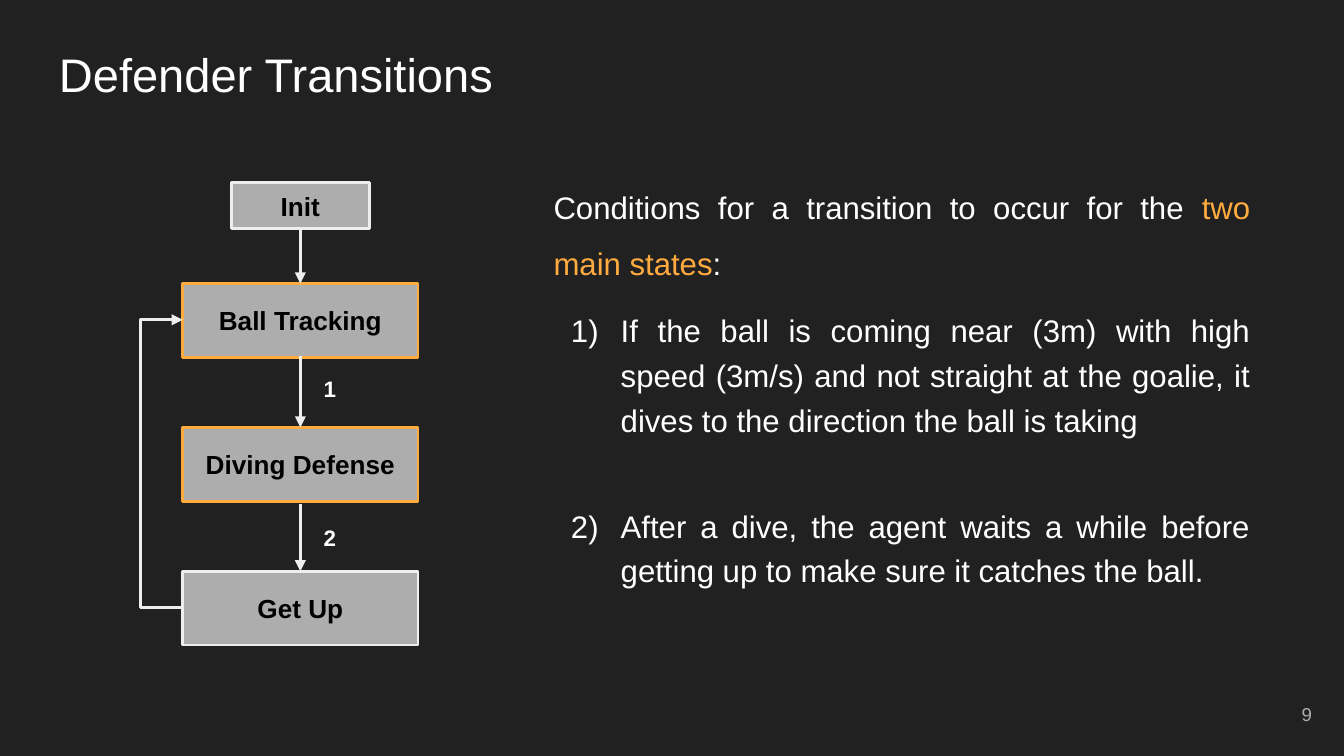
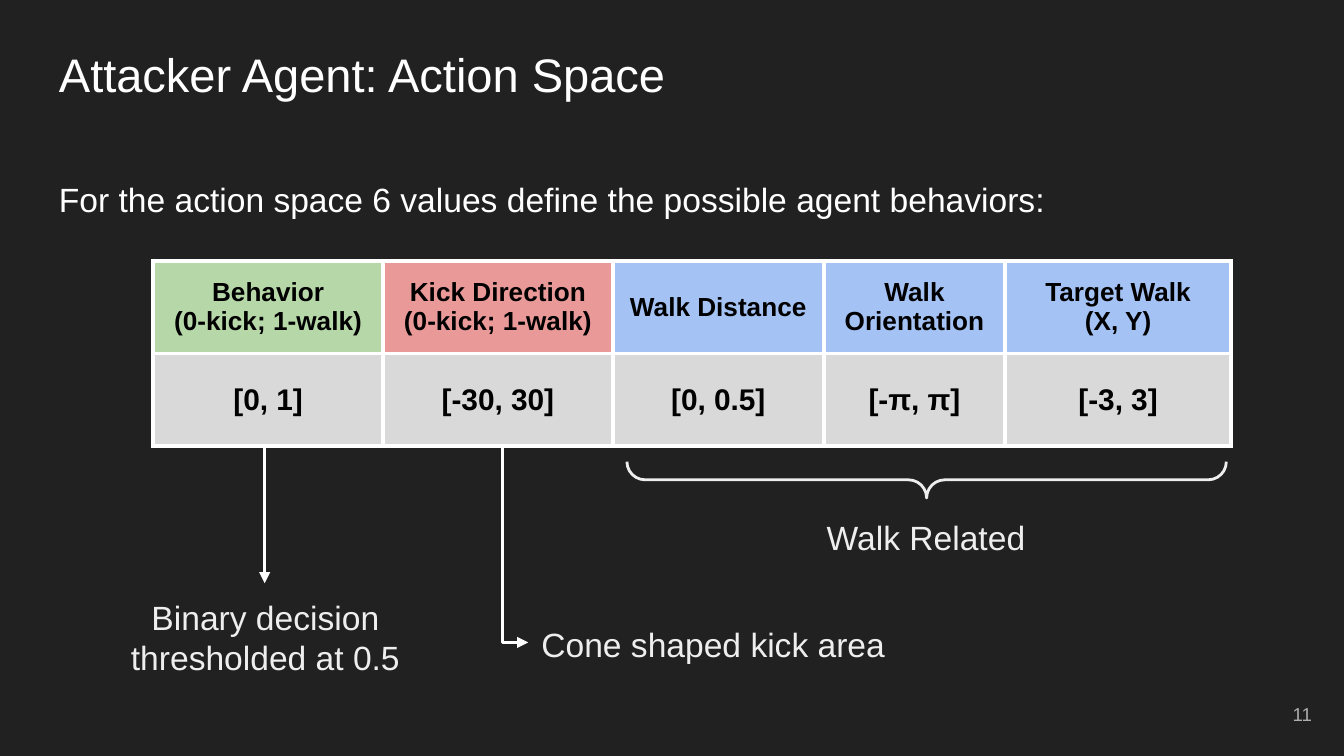
from lxml import etree
from pptx import Presentation
from pptx.dml.color import RGBColor
from pptx.enum.shapes import MSO_CONNECTOR, MSO_SHAPE
from pptx.enum.text import MSO_ANCHOR, PP_ALIGN
from pptx.oxml.ns import qn
from pptx.util import Pt

EMU_PER_PX = 9144
WIDTH, HEIGHT = 1000, 562.5
FONT = "Arial"
LEFT, CENTER, RIGHT, JUSTIFY = PP_ALIGN.LEFT, PP_ALIGN.CENTER, PP_ALIGN.RIGHT, PP_ALIGN.JUSTIFY
TOP, MIDDLE = MSO_ANCHOR.TOP, MSO_ANCHOR.MIDDLE
STRAIGHT, ELBOW = MSO_CONNECTOR.STRAIGHT, MSO_CONNECTOR.ELBOW
RECTANGLE, LEFT_BRACE = MSO_SHAPE.RECTANGLE, MSO_SHAPE.LEFT_BRACE

BACKGROUND, WHITE, BLACK = "212121", "FFFFFF", "000000"
GRAY, PALE, ORANGE = "ADADAD", "EEEEEE", "FFAB40"
GREEN, RED, BLUE, SILVER = "B6D7A8", "EA9999", "A4C2F4", "D9D9D9"

TITLE_BOX = (34, 24, 932, 63)
NUMBER_BOX = (926, 510, 60, 43)

STATE_LEFT, STATE_WIDTH = 136, 175
STATE_CENTER = STATE_LEFT + STATE_WIDTH / 2
STATES = [
    ("Init", 136, 103, 34, PALE),
    ("Ball Tracking", 211, STATE_WIDTH, 55, ORANGE),
    ("Diving Defense", 318, STATE_WIDTH, 55, ORANGE),
    ("Get Up", 425, STATE_WIDTH, 55, PALE),
]
STATE_ARROWS = [(170, 211), (265, 318), (375, 425)]
TRANSITION_LABELS = [("1", 269), ("2", 380)]
CONDITIONS_BOX = (402, 116, 538, 367)
CONDITIONS_SIZE = 16.7
CONDITIONS_INTRO = [
    ("Conditions for a transition to occur for the ", WHITE),
    ("two main states", ORANGE),
    (":", WHITE),
]
CONDITIONS = [
    ("If the ball is coming near (3m) with high speed (3m/s) and not straight "
     "at the goalie, it dives to the direction the ball is taking", 12),
    ("After a dive, the agent waits a while before getting up to make sure "
     "it catches the ball.", 32.7),
]

ACTION_INTRO = "For the action space 6 values define the possible agent behaviors:"
ACTIONS = [
    ("Behavior\n(0-kick; 1-walk)", "[0, 1]", 171, GREEN),
    ("Kick Direction\n(0-kick; 1-walk)", "[-30, 30]", 171, RED),
    ("Walk Distance", "[0, 0.5]", 157, BLUE),
    ("Walk Orientation", "[-π, π]", 135, BLUE),
    ("Target Walk\n(X, Y)", "[-3, 3]", 168, BLUE),
]
TABLE_LEFT, TABLE_TOP, ROW_HEIGHT = 114, 194, 69
ACTION_NOTES = [
    ("Walk Related", (590, 375, 198, 50), CENTER),
    ("Binary decision thresholded at 0.5", (84, 434, 227, 81), CENTER),
    ("Cone shaped kick area", (393, 454, 309, 50), LEFT),
]


def px(*values):
    return [int(value * EMU_PER_PX) for value in values]


def rgb(color):
    return RGBColor.from_string(color)


def add_xml(parent, tag, **attributes):
    return etree.SubElement(parent, qn(tag), attributes)


def add_paragraph(frame, runs, size, align=LEFT, bold=False, line=None, before=None, numbered=False):
    first = frame.paragraphs[0]
    paragraph = frame.add_paragraph() if first.runs else first
    paragraph.alignment = align
    if line:
        paragraph.line_spacing = line
    if before:
        paragraph.space_before = Pt(before)
    if numbered:
        properties = paragraph._p.get_or_add_pPr()
        properties.set("marL", str(px(50)[0]))
        properties.set("indent", str(px(-37)[0]))
        bullet_color = add_xml(properties, "a:buClr")
        add_xml(bullet_color, "a:srgbClr", val=WHITE)
        add_xml(properties, "a:buFont", typeface=FONT)
        add_xml(properties, "a:buAutoNum", type="arabicParenR")
    for text, color in runs:
        run = paragraph.add_run()
        run.text = text
        run.font.name = FONT
        run.font.size = Pt(size)
        run.font.bold = bold
        run.font.color.rgb = rgb(color)


def write(frame, text, size, color=WHITE, anchor=TOP, **formats):
    frame.word_wrap = True
    frame.vertical_anchor = anchor
    for line in text.split("\n"):
        add_paragraph(frame, [(line, color)], size, **formats)


def set_margins(target):
    margin = px(10)[0]
    target.margin_left = target.margin_right = margin
    target.margin_top = target.margin_bottom = margin


def add_frame(slide, box):
    frame = slide.shapes.add_textbox(*px(*box)).text_frame
    frame.word_wrap = True
    set_margins(frame)
    return frame


def add_text(slide, box, text, size, **formats):
    write(add_frame(slide, box), text, size, **formats)


def add_preset(slide, preset, box, line_color, fill_color=None):
    shape = slide.shapes.add_shape(preset, *px(*box))
    shape.shadow.inherit = False
    if fill_color:
        shape.fill.solid()
        shape.fill.fore_color.rgb = rgb(fill_color)
    else:
        shape.fill.background()
    shape.line.color.rgb = rgb(line_color)
    shape.line.width = Pt(1.5)
    return shape


def add_arrow(slide, start, end, color, bend=None, arrow="a:tailEnd"):
    kind = STRAIGHT if bend is None else ELBOW
    connector = slide.shapes.add_connector(kind, *px(*start, *end))
    connector.line.color.rgb = rgb(color)
    connector.line.width = Pt(1.5)
    add_xml(connector.line._get_or_add_ln(), arrow, type="triangle")
    properties = connector._element.spPr
    add_xml(properties, "a:effectLst")
    if bend is not None:
        geometry = properties.find(qn("a:prstGeom"))
        guides = geometry.find(qn("a:avLst"))
        if guides is None:
            guides = add_xml(geometry, "a:avLst")
        add_xml(guides, "a:gd", name="adj1", fmla=f"val {bend * 100000}")


def style_cell(cell, text, size, fill_color):
    properties = cell._tc.get_or_add_tcPr()
    for side in ("a:lnL", "a:lnR", "a:lnT", "a:lnB"):
        border = add_xml(properties, side, w=str(Pt(2.25)))
        add_xml(add_xml(border, "a:solidFill"), "a:srgbClr", val=WHITE)
    cell.fill.solid()
    cell.fill.fore_color.rgb = rgb(fill_color)
    set_margins(cell)
    cell.vertical_anchor = MIDDLE
    write(cell.text_frame, text, size, color=BLACK, anchor=None, align=CENTER, bold=True)


def add_slide(presentation, title, number):
    slide = presentation.slides.add_slide(presentation.slide_layouts[6])
    slide.background.fill.solid()
    slide.background.fill.fore_color.rgb = rgb(BACKGROUND)
    add_text(slide, TITLE_BOX, title, 25.2)
    add_text(slide, NUMBER_BOX, number, 10, color=GRAY, anchor=MIDDLE, align=RIGHT)
    return slide


def build_transitions(presentation):
    slide = add_slide(presentation, "Defender Transitions", "9")
    for name, top, width, height, line_color in STATES:
        box = (STATE_CENTER - width / 2, top, width, height)
        state = add_preset(slide, RECTANGLE, box, line_color, GRAY)
        set_margins(state.text_frame)
        write(state.text_frame, name, 14, color=BLACK, anchor=MIDDLE, align=CENTER, bold=True)
    for top, bottom in STATE_ARROWS:
        add_arrow(slide, (STATE_CENTER, top), (STATE_CENTER, bottom), PALE)
    add_arrow(slide, (STATE_LEFT, 238), (STATE_LEFT + 1, 452), PALE, bend=-32, arrow="a:headEnd")
    for label, top in TRANSITION_LABELS:
        add_text(slide, (224, top, 43, 40), label, 12, anchor=MIDDLE, align=CENTER, bold=True)
    conditions = add_frame(slide, CONDITIONS_BOX)
    add_paragraph(conditions, CONDITIONS_INTRO, CONDITIONS_SIZE, align=JUSTIFY, line=1.5)
    for text, before in CONDITIONS:
        add_paragraph(conditions, [(text, WHITE)], CONDITIONS_SIZE, align=JUSTIFY, line=1.2,
                      before=before, numbered=True)


def build_action_space(presentation):
    slide = add_slide(presentation, "Attacker Agent: Action Space", "11")
    add_text(slide, (34, 108, 932, 76), ACTION_INTRO, 18, line=1.5)
    table_width = sum(action[2] for action in ACTIONS)
    table = slide.shapes.add_table(
        2, len(ACTIONS), *px(TABLE_LEFT, TABLE_TOP, table_width, 2 * ROW_HEIGHT)).table
    table.first_row = table.horz_banding = False
    for column, (name, limits, width, color) in enumerate(ACTIONS):
        table.columns[column].width = px(width)[0]
        style_cell(table.cell(0, column), name, 14, color)
        style_cell(table.cell(1, column), limits, 16, SILVER)
    brace = add_preset(slide, LEFT_BRACE, (676, 134, 27, 446), PALE)
    brace.rotation = 270
    brace.adjustments[0] = brace.adjustments[1] = 0.5
    for text, box, align in ACTION_NOTES:
        add_text(slide, box, text, 18, color=PALE, align=align)
    add_arrow(slide, (197, 331), (197, 434), WHITE)
    add_arrow(slide, (374, 333), (393, 478), WHITE, bend=0)


def main():
    presentation = Presentation()
    presentation.slide_width, presentation.slide_height = px(WIDTH, HEIGHT)
    build_transitions(presentation)
    build_action_space(presentation)
    presentation.save("out.pptx")


if __name__ == "__main__":
    main()
